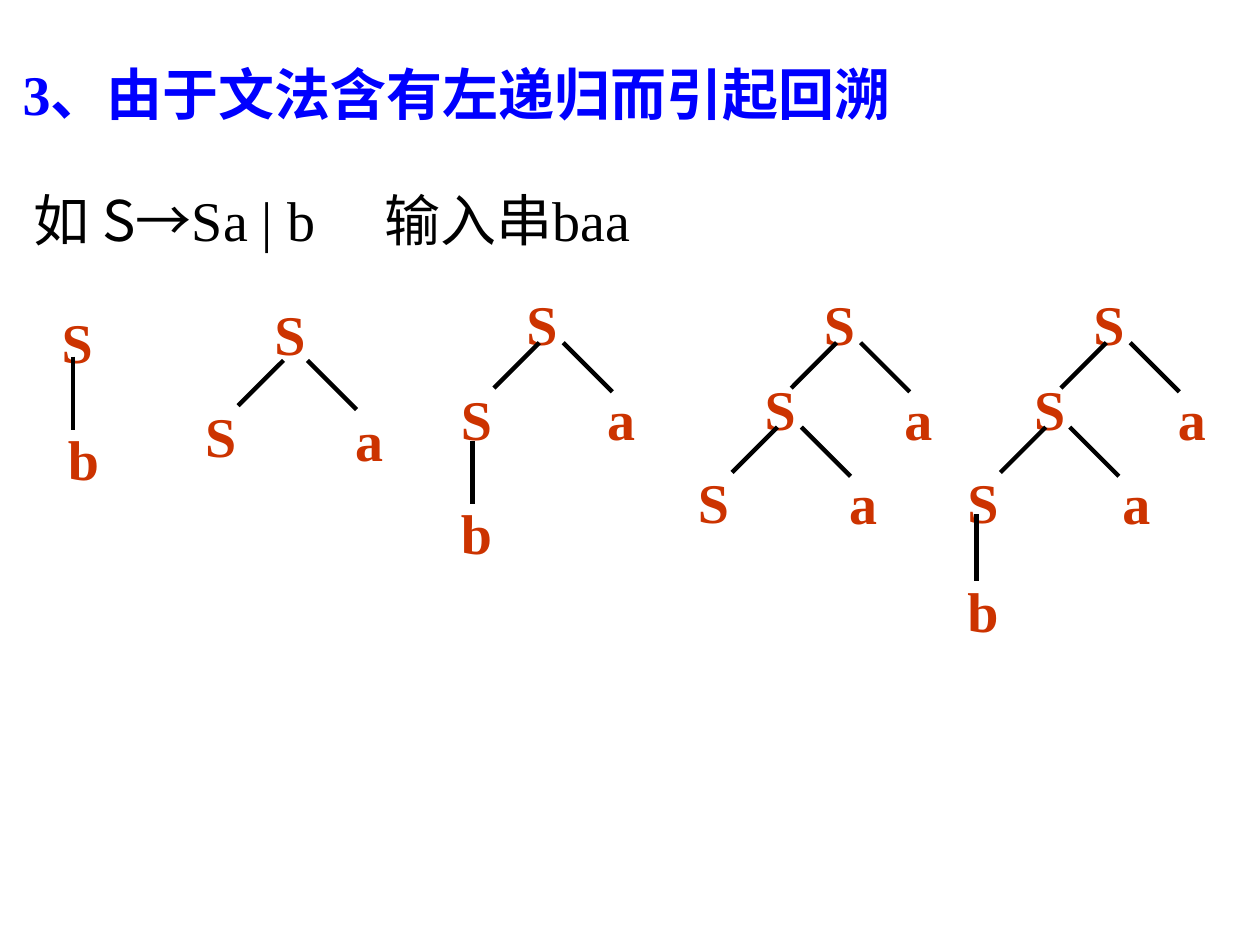
from lxml import etree
from pptx import Presentation
from pptx.dml.color import RGBColor
from pptx.enum.shapes import MSO_CONNECTOR as CONN
from pptx.enum.text import MSO_ANCHOR as ANCHOR, PP_ALIGN as ALIGN
from pptx.oxml.ns import qn
from pptx.util import Inches, Pt

SERIF, CJK = "Times New Roman", "Noto Sans CJK SC"
BLUE, RED, BLACK = "0000FF", "CC3300", "000000"
SIZE = 32

# Content: (text, font) runs
TITLE = [("3、", SERIF), ("由于文法含有左递归而引起回溯", CJK)]
EXAMPLE = [("如 S→", CJK), ("Sa | b\t", SERIF), ("输入串", CJK), ("baa", SERIF)]
INPUT_TAB = 2.78

# Parse trees: symbols (text, left, top), fork apexes (x, y), stems (x, top, bottom)
TREES = [
    {"symbols": [("S", 0.39, 2.39), ("b", 0.44, 3.32)],
     "forks": [], "stems": [(0.58, 2.83, 3.41)]},
    {"symbols": [("S", 2.08, 2.33), ("S", 1.53, 3.14), ("a", 2.72, 3.17)],
     "forks": [(2.25, 2.86)], "stems": []},
    {"symbols": [("S", 4.08, 2.25), ("S", 3.56, 3), ("a", 4.72, 3), ("b", 3.56, 3.91)],
     "forks": [(4.28, 2.72)], "stems": [(3.75, 3.5, 4)]},
    {"symbols": [("S", 6.44, 2.25), ("S", 5.97, 2.92), ("a", 7.08, 3),
                 ("S", 5.44, 3.66), ("a", 6.64, 3.67)],
     "forks": [(6.64, 2.72), (6.17, 3.39)], "stems": []},
    {"symbols": [("S", 8.58, 2.25), ("S", 8.11, 2.92), ("a", 9.25, 3),
                 ("S", 7.58, 3.66), ("a", 8.81, 3.67), ("b", 7.58, 4.53)],
     "forks": [(8.78, 2.72), (8.3, 3.39)], "stems": [(7.75, 4.08, 4.61)]},
]
FORK_GAP, LEFT_ARM, RIGHT_ARM = 0.19, 0.36, 0.39


def rgb(color):
    return RGBColor.from_string(color)


def write(sp, runs, color, bold=False, align=ALIGN.JUSTIFY):
    tf = sp.text_frame
    tf.word_wrap = True
    tf.vertical_anchor = ANCHOR.TOP
    p = tf.paragraphs[0]
    p.alignment = align
    for text, face in runs:
        r = p.add_run()
        r.text = text
        r.font.size, r.font.bold, r.font.name = Pt(SIZE), bold, face
        r.font.color.rgb = rgb(color)
        ea = etree.SubElement(r.font._element, qn("a:ea"))
        ea.set("typeface", CJK)
    return p


def add_branch(shapes, x1, y1, x2, y2):
    line = shapes.add_connector(CONN.STRAIGHT, *map(Inches, (x1, y1, x2, y2)))
    line.line.color.rgb = rgb(BLACK)
    line.line.width = Pt(2.5)
    etree.SubElement(line._element.spPr, qn("a:effectLst"))


def add_tree(s, tree):
    shapes = s.shapes.add_group_shape().shapes
    for text, x, y in tree["symbols"]:
        sp = shapes.add_textbox(*map(Inches, (x, y, 0.69, 0.58)))
        write(sp, [(text, SERIF)], RED, bold=True)
    for x, y in tree["forks"]:
        right = x + FORK_GAP
        add_branch(shapes, x, y, x - LEFT_ARM, y + LEFT_ARM)
        add_branch(shapes, right, y, right + RIGHT_ARM, y + RIGHT_ARM)
    for x, top, bottom in tree["stems"]:
        add_branch(shapes, x, top, x, bottom)


prs = Presentation()
prs.slide_width, prs.slide_height = Inches(10), Inches(7.5)
s = prs.slides.add_slide(prs.slide_layouts[5])

# Title
title = s.shapes.title
title.left, title.top, title.width, title.height = map(Inches, (0.08, 0.42, 8.25, 0.64))
write(title, TITLE, BLUE, bold=True, align=ALIGN.LEFT)

# Parse trees
for tree in TREES:
    add_tree(s, tree)

# Grammar and input string
example = s.shapes.add_textbox(*map(Inches, (0.17, 1.42, 7.42, 0.64)))
p = write(example, EXAMPLE, BLACK, align=ALIGN.LEFT)
tabs = etree.SubElement(p._p.get_or_add_pPr(), qn("a:tabLst"))
etree.SubElement(tabs, qn("a:tab"), pos=str(Inches(INPUT_TAB)), algn="l")

prs.save("out.pptx")
